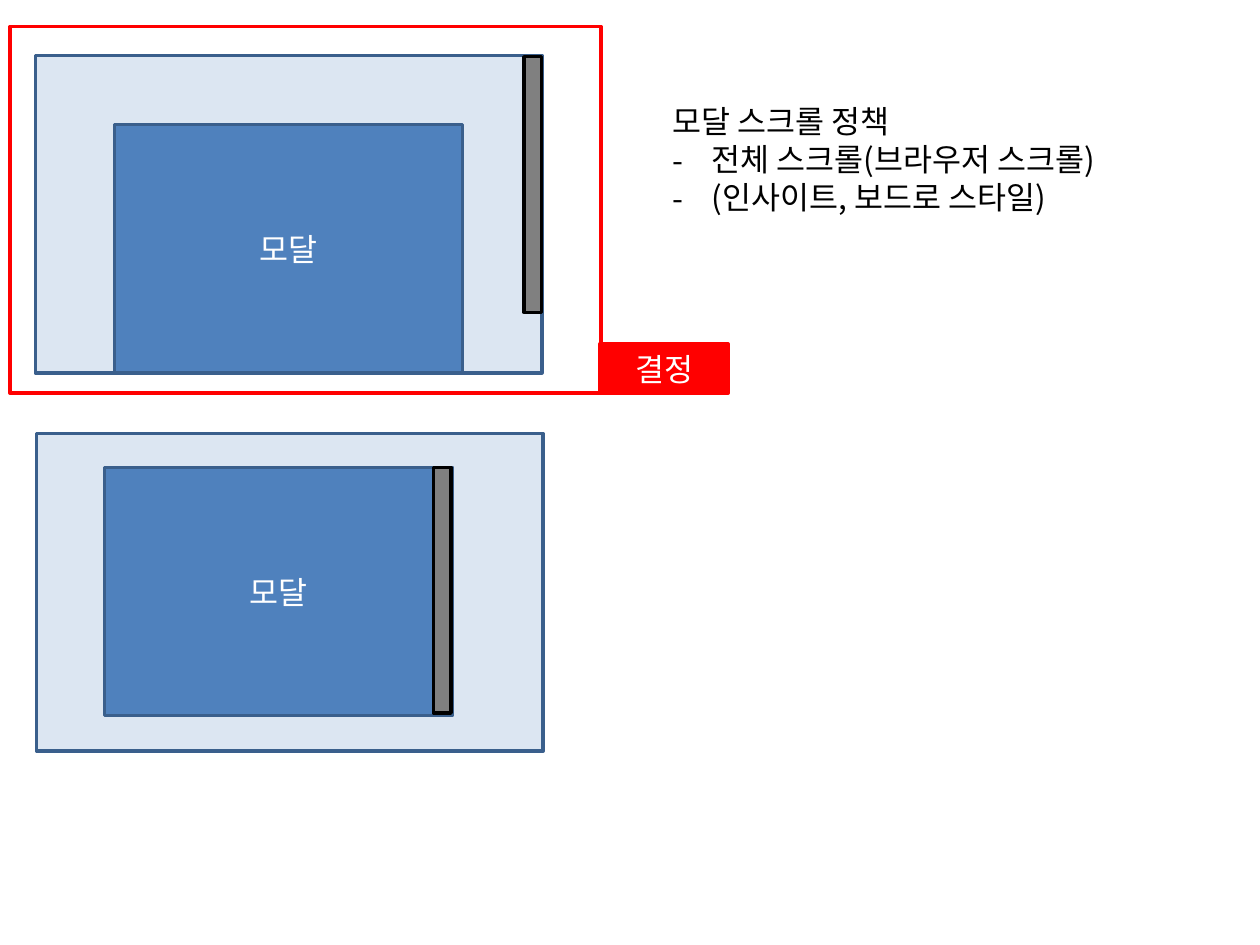
from lxml.etree import SubElement
from pptx import Presentation
from pptx.dml.color import RGBColor
from pptx.enum.shapes import MSO_SHAPE
from pptx.enum.text import MSO_ANCHOR, MSO_AUTO_SIZE, PP_ALIGN
from pptx.oxml.ns import qn
from pptx.util import Inches, Pt

FONT = "Noto Sans CJK KR"
WHITE = RGBColor(0xFF, 0xFF, 0xFF)
BLACK = RGBColor(0x00, 0x00, 0x00)
RED = RGBColor(0xFF, 0x00, 0x00)
GRAY = RGBColor(0x80, 0x80, 0x80)
PALE_BLUE = RGBColor(0xDC, 0xE6, 0xF2)
BLUE = RGBColor(0x4F, 0x81, 0xBD)
DARK_BLUE = RGBColor(0x3A, 0x5F, 0x8C)

presentation = Presentation()
presentation.slide_width = Inches(10)
presentation.slide_height = Inches(7.5)
slide = presentation.slides.add_slide(presentation.slide_layouts[6])


def write_text(paragraph, text, color=BLACK, align=PP_ALIGN.LEFT, bullet=None):
    paragraph.alignment = align
    run = paragraph.add_run()
    run.text = text
    run.font.size = Pt(18)
    run.font.name = FONT
    run.font.color.rgb = color
    SubElement(run.font._element, qn("a:ea"), typeface=FONT)
    if bullet:
        properties = paragraph._p.get_or_add_pPr()
        properties.set("marL", str(Inches(0.31)))
        properties.set("indent", str(Inches(-0.31)))
        SubElement(properties, qn("a:buFont"), typeface=FONT)
        SubElement(properties, qn("a:buChar"), char=bullet)


def add_box(left, top, width, height, fill, line, text=None):
    shape = slide.shapes.add_shape(
        MSO_SHAPE.RECTANGLE, Inches(left), Inches(top), Inches(width), Inches(height))
    shape.shadow.inherit = False
    if fill is None:
        shape.fill.background()
    else:
        shape.fill.solid()
        shape.fill.fore_color.rgb = fill
    shape.line.color.rgb = line
    shape.line.width = Pt(2)
    if text:
        shape.text_frame.vertical_anchor = MSO_ANCHOR.MIDDLE
        write_text(shape.text_frame.paragraphs[0], text, color=WHITE, align=PP_ALIGN.CENTER)


# Browser window that scrolls as a whole
add_box(0.28, 0.44, 4.02, 2.52, PALE_BLUE, DARK_BLUE)
add_box(4.16, 0.45, 0.14, 2.03, GRAY, BLACK)
add_box(0.91, 0.99, 2.76, 1.97, BLUE, DARK_BLUE, "모달")

# Browser window whose modal scrolls inside
add_box(0.29, 3.44, 4.02, 2.52, PALE_BLUE, DARK_BLUE)
add_box(0.83, 3.71, 2.76, 1.97, BLUE, DARK_BLUE, "모달")
add_box(3.44, 3.71, 0.14, 1.95, GRAY, BLACK)

# Scroll policy
policy = slide.shapes.add_textbox(Inches(5.24), Inches(0.76), Inches(3.88), Inches(1.01))
policy_frame = policy.text_frame
policy_frame.word_wrap = False
policy_frame.auto_size = MSO_AUTO_SIZE.SHAPE_TO_FIT_TEXT
write_text(policy_frame.paragraphs[0], "모달 스크롤 정책")
for item in ("전체 스크롤(브라우저 스크롤)", "(인사이트, 보드로 스타일)"):
    write_text(policy_frame.add_paragraph(), item, bullet="-")

# Decision frame and its label
add_box(0.08, 0.21, 4.69, 2.91, None, RED)
add_box(4.76, 2.73, 1.02, 0.39, RED, RED, "결정")

presentation.save("out.pptx")
